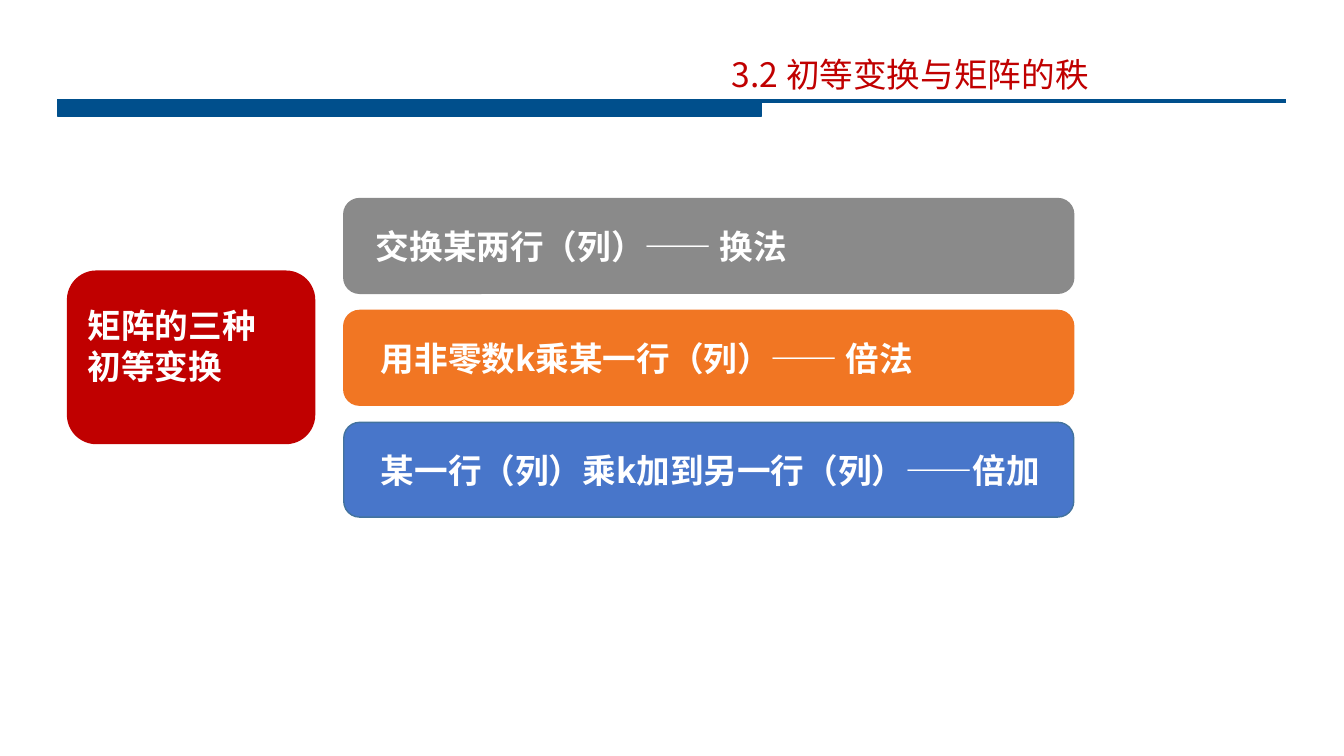
import pptx
import pptx.dml.color
import pptx.enum.shapes
import pptx.enum.text
import pptx.oxml.ns
import pptx.util
from lxml import etree

Inches = pptx.util.Inches
RGBColor = pptx.dml.color.RGBColor
ShapeType = pptx.enum.shapes.MSO_SHAPE

FONT = "Noto Sans CJK SC"
NAVY = RGBColor(0x00, 0x4F, 0x8C)
RED = RGBColor(0xC0, 0x00, 0x00)
GRAY = RGBColor(0x8A, 0x8A, 0x8A)
ORANGE = RGBColor(0xF1, 0x76, 0x23)
BLUE = RGBColor(0x48, 0x76, 0xCA)
BLUE_EDGE = RGBColor(0x43, 0x73, 0x9E)
WHITE = RGBColor(0xFF, 0xFF, 0xFF)

METHODS = [
    ("交换某两行（列）—— 换法", 3.63, GRAY, GRAY),
    ("用非零数k乘某一行（列）—— 倍法", 3.68, ORANGE, ORANGE),
    ("某一行（列）乘k加到另一行（列）——倍加", 3.68, BLUE, BLUE_EDGE),
]
BAR_TOP = 1.97
BAR_STEP = 1.11


def write_text(shape, text, color=WHITE, bold=True, left_margin=0.1):
    frame = shape.text_frame
    frame.word_wrap = True
    frame.auto_size = pptx.enum.text.MSO_AUTO_SIZE.NONE
    frame.vertical_anchor = pptx.enum.text.MSO_ANCHOR.TOP
    frame.margin_left = Inches(left_margin)
    frame.text = text
    for paragraph in frame.paragraphs:
        paragraph.alignment = pptx.enum.text.PP_ALIGN.LEFT
        for run in paragraph.runs:
            run.font.name = FONT
            run.font.size = pptx.util.Pt(24)
            run.font.bold = bold
            run.font.color.rgb = color
            east_asian = etree.SubElement(
                run.font._element, pptx.oxml.ns.qn("a:ea"))
            east_asian.set("typeface", FONT)


def place(shape, left, top, width, height):
    shape.left, shape.top = Inches(left), Inches(top)
    shape.width, shape.height = Inches(width), Inches(height)


def add_title(slide, text):
    title = slide.shapes.title
    place(title, 7.16, 0.48, 5.37, 0.5)
    write_text(title, text, color=RED, bold=False)


def add_rule(slide, left, right, top):
    rule = slide.shapes.add_connector(
        pptx.enum.shapes.MSO_CONNECTOR.STRAIGHT,
        Inches(left), Inches(top), Inches(right), Inches(top))
    rule.line.color.rgb = NAVY
    rule.line.width = pptx.util.Pt(3)
    etree.SubElement(rule._element.spPr, pptx.oxml.ns.qn("a:effectLst"))


def add_block(slide, kind, box, fill, edge):
    block = slide.shapes.add_shape(kind, *map(Inches, box))
    block.shadow.inherit = False
    block.fill.solid()
    block.fill.fore_color.rgb = fill
    block.line.color.rgb = edge
    block.line.width = pptx.util.Pt(1)


def add_label(slide, text, box, **text_format):
    label = slide.shapes.add_textbox(*map(Inches, box))
    write_text(label, text, **text_format)


def main():
    presentation = pptx.Presentation()
    presentation.slide_width = Inches(13.33)
    presentation.slide_height = Inches(7.5)
    slide = presentation.slides.add_slide(presentation.slide_layouts[5])

    add_rule(slide, 0.57, 12.75, 1)
    add_block(slide, ShapeType.RECTANGLE, (0.57, 1, 6.98, 0.15), NAVY, NAVY)
    add_title(slide, "3.2 初等变换与矩阵的秩")

    add_block(slide, ShapeType.ROUNDED_RECTANGLE,
              (0.67, 2.69, 2.45, 1.71), RED, RED)
    add_label(slide, "矩阵的三种\n初等变换", (0.7, 2.98, 2.42, 0.91),
              left_margin=0.17)

    for index, (text, text_left, fill, edge) in enumerate(METHODS):
        top = BAR_TOP + index * BAR_STEP
        add_block(slide, ShapeType.ROUNDED_RECTANGLE,
                  (3.41, top, 7.24, 0.94), fill, edge)
        add_label(slide, text, (text_left, top + 0.22, 7.12, 0.5))

    presentation.save("out.pptx")


if __name__ == "__main__":
    main()
